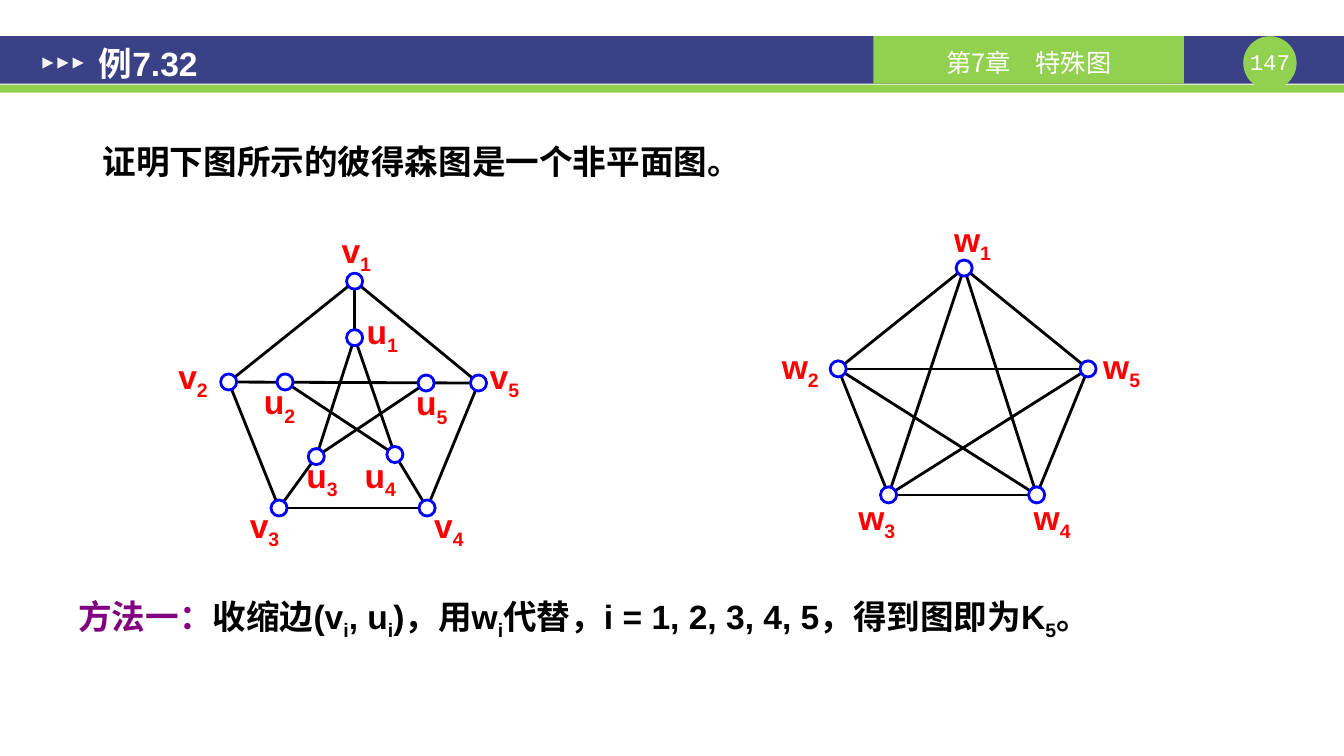
from dataclasses import dataclass
from itertools import combinations
from typing import NamedTuple

from lxml.etree import SubElement
from pptx import Presentation
from pptx.dml.color import RGBColor
from pptx.enum.shapes import MSO_CONNECTOR as Line, MSO_SHAPE as Kind
from pptx.enum.text import MSO_ANCHOR as Anchor, PP_ALIGN as Align
from pptx.oxml.ns import qn
from pptx.shapes.autoshape import Shape
from pptx.slide import Slide
from pptx.util import Inches, Pt


@dataclass(frozen=True)
class Theme:
    navy: str = "3A4187"
    green: str = "92D050"
    white: str = "FFFFFF"
    arrow: str = "F2F2F2"
    black: str = "000000"
    label: str = "FF0000"
    ring: str = "0000FF"
    method: str = "800080"
    latin: str = "Arial"
    cjk: str = "Noto Sans CJK SC"
    mono: str = "Courier New"
    text: float = 24
    chapter: float = 18
    number: float = 16
    stroke: float = 2
    node: float = 0.16


T = Theme()


class Box(NamedTuple):
    x: float
    y: float
    w: float
    h: float


class Piece(NamedTuple):
    text: str
    color: str = T.black
    sub: bool = False
    size: float = T.text
    font: str = T.latin
    bold: bool = True


class Vertex(NamedTuple):
    name: str
    x: float
    y: float
    label_x: float
    label_y: float


PETERSEN = [
    Vertex("v1", 3.52, 2.79, 3.39, 2.28),
    Vertex("v2", 2.27, 3.79, 1.77, 3.53),
    Vertex("v3", 2.77, 5.04, 2.48, 5.01),
    Vertex("v4", 4.24, 5.04, 4.31, 5.01),
    Vertex("v5", 4.75, 3.80, 4.86, 3.53),
    Vertex("u1", 3.52, 3.35, 3.64, 3.08),
    Vertex("u2", 2.83, 3.79, 2.62, 3.78),
    Vertex("u3", 3.14, 4.53, 3.04, 4.51),
    Vertex("u4", 3.92, 4.51, 3.62, 4.51),
    Vertex("u5", 4.23, 3.80, 4.13, 3.79),
]
PETERSEN_EDGES = [tuple(e.split("-")) for e in (
    "v1-v2 v2-v3 v3-v4 v4-v5 v5-v1 v2-v5 "
    "u1-u3 u1-u4 u2-u4 u3-u5 v1-u1 v3-u3 v4-u4").split()]

K5 = [
    Vertex("w1", 9.57, 2.66, 9.47, 2.17),
    Vertex("w2", 8.32, 3.66, 7.76, 3.43),
    Vertex("w3", 8.82, 4.91, 8.52, 4.93),
    Vertex("w4", 10.29, 4.91, 10.26, 4.93),
    Vertex("w5", 10.80, 3.66, 10.95, 3.43),
]
K5_EDGES = list(combinations([v.name for v in K5], 2))

METHOD = [
    Piece("方法一：", T.method),
    Piece("收缩边(v"), Piece("i", sub=True),
    Piece(", u"), Piece("i", sub=True),
    Piece(")，用w"), Piece("i", sub=True),
    Piece("代替，i = 1, 2, 3, 4, 5，得到图即为K"), Piece("5", sub=True),
    Piece("。"),
]


def rgb(color: str) -> RGBColor:
    return RGBColor.from_string(color)


def write(sp: Shape, pieces: list[Piece], margins: tuple = (0, 0, 0, 0),
          align: Align = Align.LEFT, anchor: Anchor = Anchor.TOP,
          spacing: float = 1.0) -> None:
    tf = sp.text_frame
    tf.word_wrap = True
    tf.vertical_anchor = anchor
    tf.margin_left, tf.margin_top, tf.margin_right, tf.margin_bottom = map(Inches, margins)
    p = tf.paragraphs[0]
    p.alignment = align
    p.line_spacing = spacing
    for piece in pieces:
        r = p.add_run()
        r.text = piece.text
        r.font.size = Pt(piece.size)
        r.font.bold = piece.bold
        r.font.color.rgb = rgb(piece.color)
        r.font.name = piece.font
        rpr = r._r.get_or_add_rPr()
        SubElement(rpr, qn("a:ea")).set("typeface", T.cjk)
        if piece.sub:
            rpr.set("baseline", "-25000")


def add_text(s: Slide, box: Box, pieces: list[Piece], **layout) -> None:
    write(s.shapes.add_textbox(*map(Inches, box)), pieces, **layout)


def add_block(s: Slide, kind: Kind, box: Box, fill: str, line: str | None = None) -> Shape:
    sp = s.shapes.add_shape(kind, *map(Inches, box))
    sp.shadow.inherit = False
    sp.fill.solid()
    sp.fill.fore_color.rgb = rgb(fill)
    if line:
        sp.line.color.rgb = rgb(line)
        sp.line.width = Pt(T.stroke)
    else:
        sp.line.fill.background()
    return sp


def add_edge(s: Slide, a: Vertex, b: Vertex) -> None:
    cx = s.shapes.add_connector(Line.STRAIGHT, *map(Inches, (a.x, a.y, b.x, b.y)))
    cx.line.color.rgb = rgb(T.black)
    cx.line.width = Pt(T.stroke)
    SubElement(cx._element.spPr, qn("a:effectLst"))


def add_graph(s: Slide, vertices: list[Vertex], edges: list[tuple]) -> None:
    by_name = {v.name: v for v in vertices}
    for a, b in edges:
        add_edge(s, by_name[a], by_name[b])
    for v in vertices:
        letter, index = v.name
        add_text(s, Box(v.label_x, v.label_y, 0.47, 0.4),
                 [Piece(letter, T.label), Piece(index, T.label, sub=True)])
    for v in vertices:
        add_block(s, Kind.OVAL, Box(v.x - T.node / 2, v.y - T.node / 2, T.node, T.node),
                  T.white, T.ring)


def add_header(s: Slide) -> None:
    add_block(s, Kind.RECTANGLE, Box(0, 0.36, 13.34, 0.47), T.navy)
    add_block(s, Kind.RECTANGLE, Box(0, 0.84, 13.34, 0.08), T.green)
    add_block(s, Kind.OVAL, Box(12.34, 0.36, 0.53, 0.53), T.green)
    add_text(s, Box(12.34, 0.48, 0.53, 0.27),
             [Piece("147", T.white, size=T.number, font=T.mono, bold=False)],
             align=Align.CENTER)
    chapter = add_block(s, Kind.RECTANGLE, Box(8.67, 0.36, 3.08, 0.47), T.green)
    write(chapter, [Piece("第7章　特殊图", T.white, size=T.chapter, font=T.cjk, bold=False)],
          (0.1, 0.04, 0.1, 0), Align.CENTER, Anchor.MIDDLE)
    for i in range(3):
        arrow = add_block(s, Kind.ISOSCELES_TRIANGLE,
                          Box(0.42 + 0.15 * i, 0.57, 0.11, 0.11), T.arrow)
        arrow.rotation = 90
    add_text(s, Box(0.85, 0.39, 5.83, 0.47), [Piece("例7.32", T.white)],
             margins=(0.13, 0.07, 0.13, 0.07), anchor=Anchor.MIDDLE)


def main() -> None:
    prs = Presentation()
    prs.slide_width, prs.slide_height = Inches(13.34), Inches(7.5)
    s = prs.slides.add_slide(prs.slide_layouts[6])
    add_header(s)
    add_text(s, Box(0.89, 1.25, 11.76, 0.89), [Piece("证明下图所示的彼得森图是一个非平面图。")],
             margins=(0.13, 0.07, 0.13, 0.07), spacing=1.2)
    add_graph(s, PETERSEN, PETERSEN_EDGES)
    add_graph(s, K5, K5_EDGES)
    add_text(s, Box(0.68, 5.63, 12.08, 0.71), METHOD,
             margins=(0.1, 0.05, 0.1, 0.05), align=Align.JUSTIFY, spacing=1.5)
    prs.save("out.pptx")


if __name__ == "__main__":
    main()
